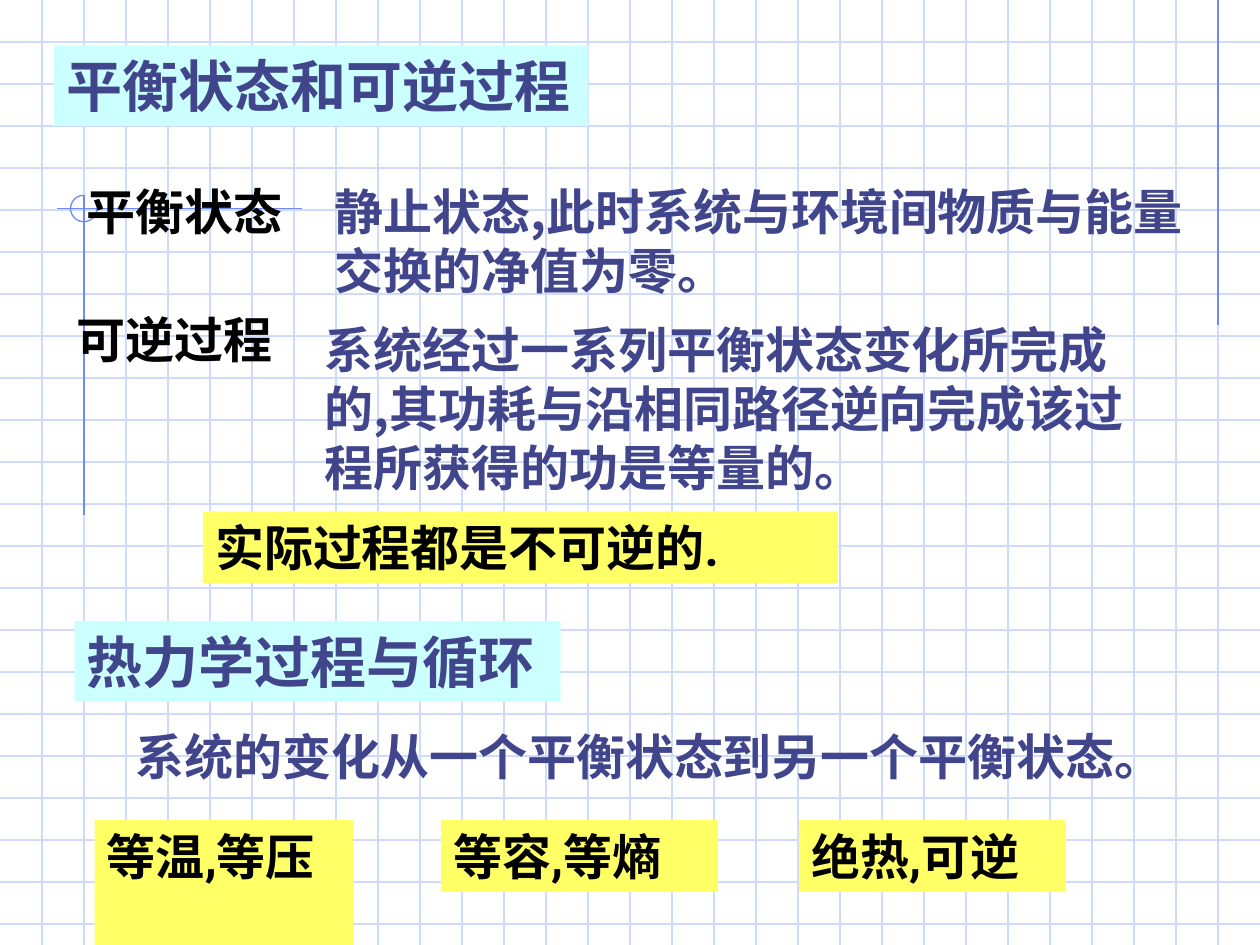
from pptx import Presentation
from pptx.dml.color import RGBColor
from pptx.enum.shapes import MSO_CONNECTOR as CONN, MSO_SHAPE as SHAPE
from pptx.enum.text import MSO_ANCHOR as ANCHOR, MSO_AUTO_SIZE as AUTO, PP_ALIGN as ALIGN
from pptx.oxml.ns import qn
from pptx.util import Inches, Pt
from lxml import etree

COLS, ROWS = 30, 22.5  # squares of a third of an inch
GRID, RULE = "CFDBFD", "6F89F7"
INK, BLACK = "40458C", "000000"
CYAN, YELLOW = "CCFFFF", "FFFF66"
LATIN, HAN = "Roboto", "Noto Sans CJK SC"
HEADING = {"size": Pt(32), "name": LATIN, "bold": True}
TERM = {"size": Pt(28), "name": LATIN, "bold": True}
BODY = {"size": Pt(28), "name": HAN, "bold": True}


def rgb(value):
    return RGBColor.from_string(value)


def cells(*counts):
    """Turn counts of grid squares into lengths."""
    return [Inches(n / 3) for n in counts]


class GridSlide:
    def __init__(self, prs):
        self.s = prs.slides.add_slide(prs.slide_layouts[5])

    def line(self, x1, y1, x2, y2, color):
        c = self.s.shapes.add_connector(CONN.STRAIGHT, *cells(x1, y1, x2, y2))
        c.line.color.rgb = rgb(color)
        c.line.width = Pt(0.75)
        etree.SubElement(c.element.spPr, qn("a:effectLst"))

    def arc(self, x, y, size, color):
        """Draw three quarters of a circle, open at the upper right."""
        sp = self.s.shapes.add_shape(SHAPE.ARC, *cells(x, y, size, size))
        sp.adjustments[0], sp.adjustments[1] = 0, 162
        sp.shadow.inherit = False
        sp.fill.background()
        sp.line.color.rgb = rgb(color)
        sp.line.width = Pt(0.75)

    def put_text(self, sp, text, color, style):
        tf = sp.text_frame
        frame = {"word_wrap": True, "auto_size": AUTO.NONE, "vertical_anchor": ANCHOR.TOP}
        for key, value in frame.items():
            setattr(tf, key, value)
        p = tf.paragraphs[0]
        p.alignment = ALIGN.LEFT
        r = p.add_run()
        r.text = text
        for key, value in style.items():
            setattr(r.font, key, value)
        r.font.color.rgb = rgb(color)
        for props in sp.element.iter(qn("a:rPr")):
            etree.SubElement(props, qn("a:ea"), typeface=HAN)

    def title(self, box, text, fill):
        sp = self.s.shapes.title
        sp.element.getparent().append(sp.element)  # bring in front of the grid
        sp.left, sp.top, sp.width, sp.height = cells(*box)
        sp.fill.solid()
        sp.fill.fore_color.rgb = rgb(fill)
        self.put_text(sp, text, INK, HEADING)

    def text(self, box, text, color, style):
        self.put_text(self.s.shapes.add_textbox(*cells(*box)), text, color, style)

    def block(self, box, text, fill, color, style):
        sp = self.s.shapes.add_shape(SHAPE.RECTANGLE, *cells(*box))
        sp.shadow.inherit = False
        sp.fill.solid()
        sp.fill.fore_color.rgb = rgb(fill)
        sp.line.fill.background()
        self.put_text(sp, text, color, style)


def main():
    prs = Presentation()
    prs.slide_width, prs.slide_height = cells(COLS, ROWS)
    page = GridSlide(prs)

    for row in range(1, 23):
        page.line(0, row, COLS, row, GRID)
    for col in range(1, COLS):
        page.line(col, 0, col, ROWS, GRID)

    page.line(29, 0, 29, 7.74, RULE)
    page.line(7.2, 4.97, 1.35, 4.97, RULE)
    page.line(2, 4.65, 2, 12.27, RULE)
    page.arc(1.68, 4.65, 0.63, RULE)

    page.title((1.29, 1.08, 12.72, 1.92), "平衡状态和可逆过程", CYAN)
    definitions = [
        ("平衡状态", (1.77, 4.17, 5.67, 1.71),
         "静止状态,此时系统与环境间物质与能量交换的净值为零。", (7.68, 4.17, 21.03, 3.12)),
        ("可逆过程", (1.53, 7.23, 5.67, 1.71),
         "系统经过一系列平衡状态变化所完成的,其功耗与沿相同路径逆向完成该过程所获得的功是等量的。",
         (7.44, 7.47, 20.31, 4.5)),
    ]
    for term, term_box, meaning, meaning_box in definitions:
        page.text(term_box, term, BLACK, TERM)
        page.text(meaning_box, meaning, INK, BODY)
    page.block((4.83, 12.18, 15.12, 1.71), "实际过程都是不可逆的.", YELLOW, BLACK, TERM)

    page.block((1.77, 14.79, 11.58, 1.92), "热力学过程与循环", CYAN, INK, HEADING)
    page.text((2.94, 17.16, 25.29, 1.71), "系统的变化从一个平衡状态到另一个平衡状态。", INK, BODY)
    processes = [("等温,等压", 2.25, 6.15, 2.97), ("等容,等熵", 10.5, 6.6, 1.71),
                 ("绝热,可逆", 19.02, 6.36, 1.71)]
    for name, left, width, height in processes:
        page.block((left, 19.53, width, height), name, YELLOW, BLACK, TERM)

    prs.save("out.pptx")


if __name__ == "__main__":
    main()
